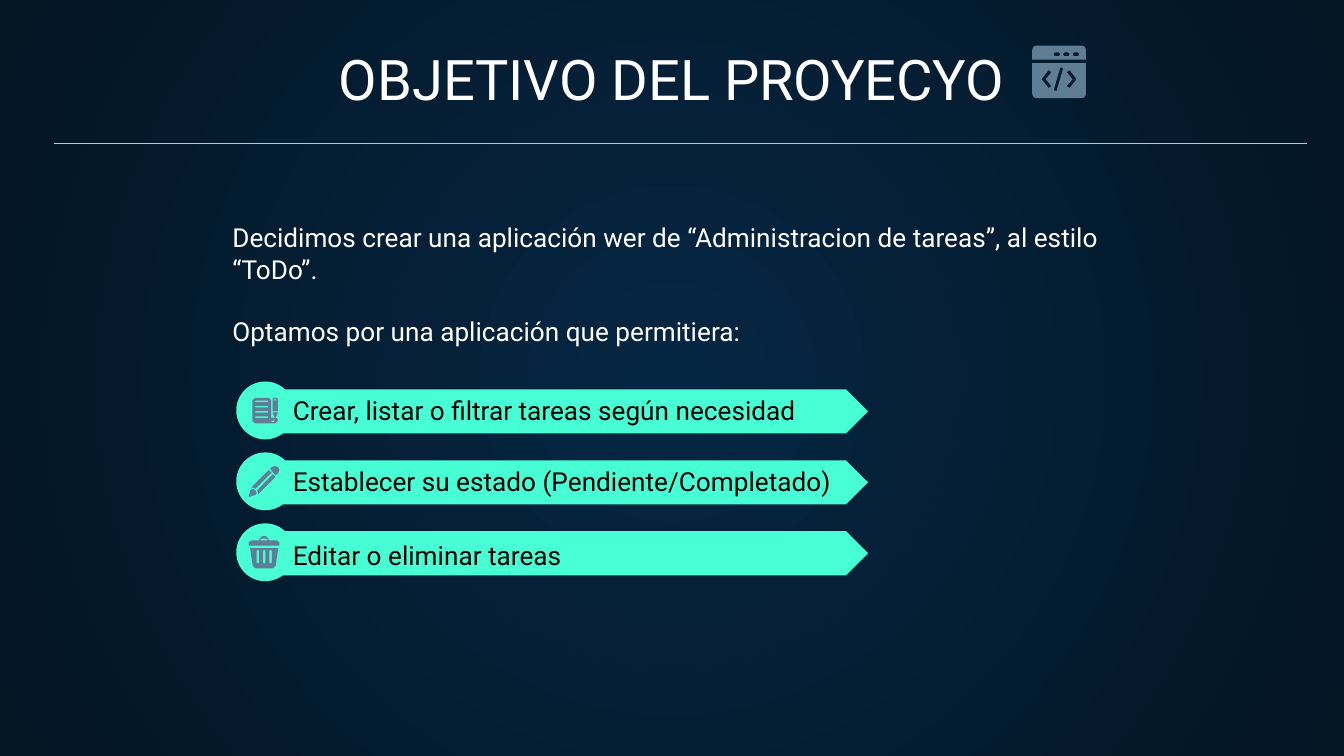
from math import cos, pi, sin

from lxml.etree import SubElement
from pptx import Presentation
from pptx.dml.color import RGBColor as RGB
from pptx.enum.shapes import MSO_CONNECTOR as Connector, MSO_SHAPE as Shape
from pptx.enum.text import MSO_ANCHOR as Anchor, MSO_AUTO_SIZE as AutoSize, PP_ALIGN as Align
from pptx.oxml.ns import qn
from pptx.util import Pt

FONT = "Roboto"
WHITE = RGB(0xFF, 0xFF, 0xFF)
BLACK = RGB(0, 0, 0)
MINT = RGB(0x48, 0xFF, 0xD5)
SLATE = RGB(0x5F, 0x7D, 0x95)
NAVY = RGB(0x05, 0x26, 0x43)
NIGHT = RGB(0x04, 0x15, 0x23)

ROW_TOP, ROW_PITCH = 204.4, 38
# Label and top of its text
GOALS = [
    ("Crear, listar o filtrar tareas según necesidad", 208),
    ("Establecer su estado (Pendiente/Completado)", 245.6),
    ("Editar o eliminar tareas", 285.7),
]


def paint_background(slide):
    """Radial gradient from the centre outwards."""
    fill = slide.background.fill
    fill.gradient()
    for stop, color in zip(fill.gradient_stops, (NAVY, NIGHT)):
        stop.color.rgb = color
    gradient = slide.element.find(".//" + qn("a:gradFill"))
    gradient.remove(gradient.find(qn("a:lin")))
    circle = SubElement(gradient, qn("a:path"), path="circle")
    SubElement(circle, qn("a:fillToRect"), l="50000", t="50000", r="50000", b="50000")


def write(frame, paragraphs, size, color, align=Align.LEFT, inset=None):
    frame.word_wrap = True
    frame.auto_size = AutoSize.NONE
    if inset is not None:
        frame.margin_left = frame.margin_right = Pt(inset)
        frame.margin_top = frame.margin_bottom = Pt(inset)
    frame.text = "\n".join(paragraphs)
    for paragraph in frame.paragraphs:
        paragraph.alignment = align
        for run in paragraph.runs:
            run.font.name = FONT
            run.font.size = Pt(size)
            run.font.color.rgb = color


def add_text(slide, left, top, width, height, paragraphs, color, inset=None):
    frame = slide.shapes.add_textbox(Pt(left), Pt(top), Pt(width), Pt(height)).text_frame
    write(frame, paragraphs, 14, color, inset=inset)
    return frame


def paint(shape, color):
    shape.shadow.inherit = False
    shape.fill.solid()
    shape.fill.fore_color.rgb = color
    shape.line.fill.background()


def add_preset(slide, kind, left, top, width, height):
    shape = slide.shapes.add_shape(kind, Pt(left), Pt(top), Pt(width), Pt(height))
    paint(shape, MINT)
    return shape


def rounded(x, y, width, height, top=0, bottom=0):
    """Outline of a box with its own radius for top and bottom corners."""
    corners = [
        (x + top, y + top, top, pi),
        (x + width - top, y + top, top, 1.5 * pi),
        (x + width - bottom, y + height - bottom, bottom, 0),
        (x + bottom, y + height - bottom, bottom, 0.5 * pi),
    ]
    return [
        (cx + radius * cos(start + step * pi / 8), cy + radius * sin(start + step * pi / 8))
        for cx, cy, radius, start in corners
        for step in (range(5) if radius else [0])
    ]


def add_outline(slide, left, top, *contours):
    """Filled outline; contours after the first are holes in it."""
    placed = [[(Pt(left + x), Pt(top + y)) for x, y in contour] for contour in contours]
    builder = slide.shapes.build_freeform(*placed[0][0])
    for index, contour in enumerate(placed):
        if index:
            builder.move_to(*contour[0])
        builder.add_line_segments(contour[1:], close=True)
    paint(builder.convert_to_shape(), SLATE)


def draw_code_window(slide, left, top):
    dots = [rounded(11.5 + 5.1 * i, 3.6, 3.4, 2, 1, 1) for i in range(3)]
    add_outline(slide, left, top, rounded(0, 0, 28.8, 7.4, 2.4), *dots)
    chevron = [(5, 18), (8.8, 13), (10.3, 14.2), (7.2, 18), (10.3, 21.6), (8.8, 22.7)]
    mirrored = [(28.8 - x, y) for x, y in chevron]
    slash = [(15.1, 11.6), (16.6, 12.2), (13, 24.4), (11.5, 23.8)]
    add_outline(slide, left, top, rounded(0, 9.4, 28.8, 18.7, 0, 2.4),
                chevron, mirrored, slash)


def draw_notepad(slide, left, top):
    page = [(1.4, 0), (8.7, 0), (10.1, 1.4), (10.1, 10.8), (13, 10.8), (13.7, 11.6),
            (13.5, 12.7), (12.2, 13.7), (1.4, 13.7), (0, 12.3), (0, 1.4)]
    lines = [rounded(1.5, 1.5 + 2.8 * i, 7, 0.9, 0.4, 0.4) for i in range(4)]
    curl = [(10.1, 12.2), (12.4, 12.2), (11.5, 13), (10.4, 13)]
    add_outline(slide, left, top, page, *lines, curl)
    add_outline(slide, left, top, [(10.8, 7.9), (13.7, 7.9), (12.6, 10.6), (11.9, 10.6)])
    add_outline(slide, left, top, rounded(10.8, 0, 2.9, 7.2, 1), rounded(11.6, 0.8, 1.3, 0.7))


def draw_brush(slide, left, top):
    upper_shaft = [(10.8, 2.2), (1.4, 11.4), (2.4, 11.5), (3.6, 12.2), (12.4, 3.5)]
    lower_shaft = [(13, 4.3), (4.5, 13), (5, 14), (5.1, 15.1), (14.4, 5.8)]
    cap = [(11.5, 1.4), (12.7, 0.4), (14.4, 0), (15.8, 0.7), (16.5, 2.2), (15.8, 4), (14.4, 5)]
    tip = [(2.2, 12.2), (0.8, 13), (0.6, 14.4), (0, 15.9), (0.4, 16.6), (2.2, 15.9),
           (3.6, 15.6), (4.3, 14.4), (3.6, 13)]
    for part in (upper_shaft, cap, lower_shaft, tip):
        add_outline(slide, left, top, part)


def draw_bin(slide, left, top):
    can = [(0.8, 6.4), (15.8, 6.4), (14.5, 15.8), (13, 17.2), (3.6, 17.2), (2.2, 15.8)]
    slots = [rounded(4.3 + 3.4 * i, 7.3, 1.3, 7.2, 0.6, 0.6) for i in range(3)]
    add_outline(slide, left, top, can, *slots)
    lid = [(0, 5), (0, 3.4), (1.4, 2.2), (5.8, 2.2), (5.8, 1.5), (7.2, 0), (9.4, 0),
           (10.8, 1.5), (10.8, 2.2), (15.1, 2.2), (16.5, 3.4), (16.5, 5)]
    add_outline(slide, left, top, lid, rounded(6.5, 1.3, 3.6, 0.9))


def add_divider(slide):
    divider = slide.shapes.add_connector(Connector.STRAIGHT, Pt(29), Pt(77), Pt(700), Pt(77))
    divider.line.color.rgb = MINT
    divider.line.width = Pt(0.75)
    SubElement(divider.element.spPr, qn("a:effectLst"))


def main():
    deck = Presentation()
    deck.slide_width, deck.slide_height = Pt(720), Pt(405)
    slide = deck.slides.add_slide(deck.slide_layouts[5])
    paint_background(slide)

    # Heading
    title = slide.shapes.title
    title.left, title.top, title.width, title.height = Pt(24.5), Pt(19.4), Pt(671), Pt(47.5)
    write(title.text_frame, ["OBJETIVO DEL PROYECYO"], 30, WHITE, Align.CENTER, 7.2)
    title.text_frame.vertical_anchor = Anchor.BOTTOM
    add_divider(slide)
    draw_code_window(slide, 553, 24.5)

    # Introduction
    intro = add_text(slide, 117.4, 107.3, 485.3, 85.7, [
        "Decidimos crear una aplicación wer de “Administracion de tareas”, al estilo “ToDo”.",
        "Optamos por una aplicación que permitiera:",
    ], WHITE, 7.2)
    intro.vertical_anchor = Anchor.BOTTOM
    intro.paragraphs[1].space_before = Pt(16.5)

    # Goals
    for row, (label, label_top) in enumerate(GOALS):
        top = ROW_TOP + row * ROW_PITCH
        banner = add_preset(slide, Shape.PENTAGON, 150.5, top + 4.2, 314.6, 23.6)
        banner.adjustments[0] = 0.5
        add_preset(slide, Shape.OVAL, 126.6, top, 31, 31)
        add_text(slide, 149.8, label_top, 316, 24.5, [label], BLACK)
    draw_notepad(slide, 135.2, 213.1)
    draw_brush(slide, 133.2, 249.7)
    draw_bin(slide, 133.2, 287.3)

    deck.save("out.pptx")


if __name__ == "__main__":
    main()
